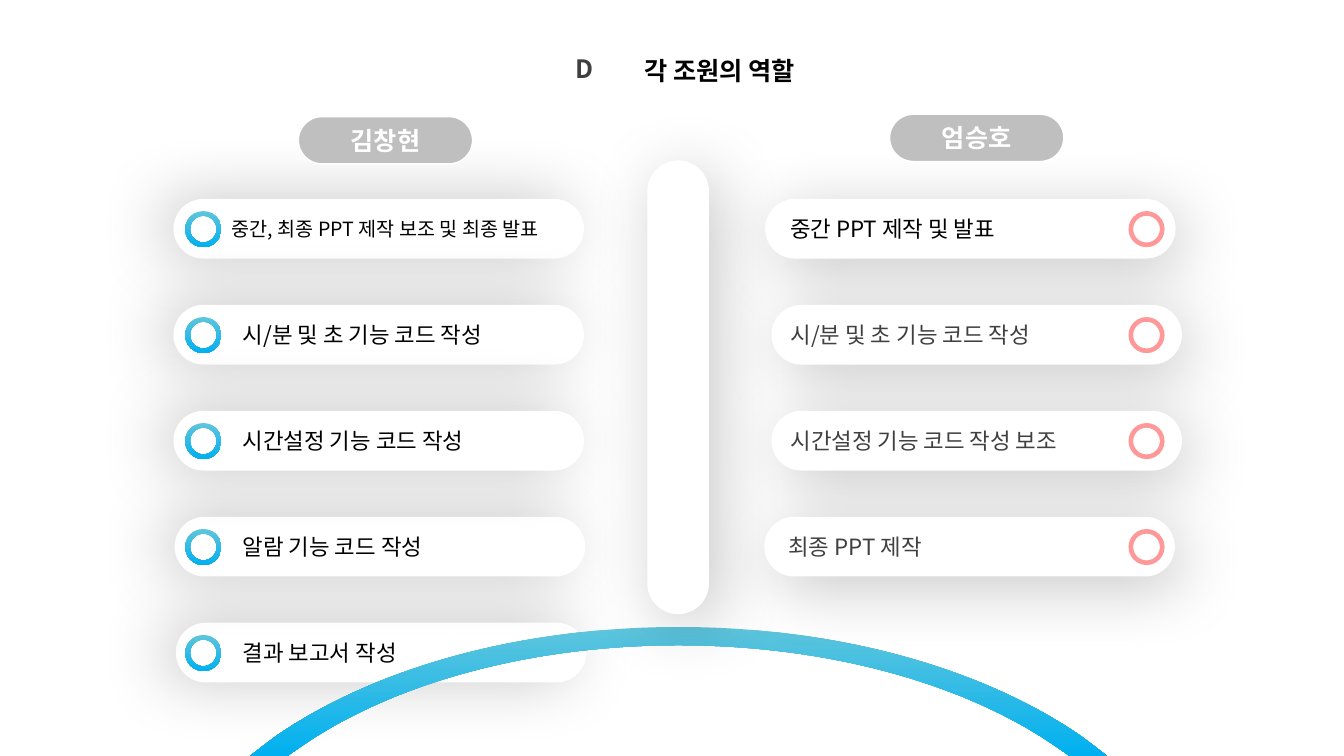
from lxml import etree
from pptx import Presentation
from pptx import util as u
from pptx.dml.color import RGBColor
from pptx.enum import shapes, text
from pptx.oxml.ns import qn

FONT = "Noto Sans CJK KR"
ROW_TOP, ROW_PITCH = 5.03, 2.67
CARD_WIDTH, CARD_HEIGHT = 10.31, 1.47
RING_SIZE, RING_OFFSET = 0.91, 0.29
LABEL_HEIGHT, LABEL_OFFSET = 0.94, 0.26
BLUE = ("5FC5DC", "00B0F0")
CORAL = ("FF9999",)
LEFT_SHADOW, RIGHT_SHADOW = 190, 50

LEFT_CARDS = [4.39, 4.39, 4.39, 4.42, 4.45]
RIGHT_CARDS = [19.3, 19.46, 19.46, 19.28]
# label left, label width, size, wording
LEFT_LABELS = [
    (5.59, 9.17, 14, "중간, 최종 PPT 제작 보조 및 최종 발표"),
    (5.87, 8.38, 16, "시/분 및 초 기능 코드 작성"),
    (5.87, 7.92, 16, "시간설정 기능 코드 작성"),
    (5.87, 7.54, 16, "알람 기능 코드 작성"),
    (5.87, 6.58, 16, "결과 보고서 작성"),
]
RIGHT_LABEL = (19.66, 7.65, 16, "중간 PPT 제작 및 발표")
RIGHT_TEXTS = ["", "시/분 및 초 기능 코드 작성", "시간설정 기능 코드 작성 보조", " 최종 PPT 제작"]


def colour(value):
    return RGBColor.from_string(value)


def row_top(row):
    return ROW_TOP + row * ROW_PITCH


def paint(shape, colours):
    """Fill with one colour, or with two from top to bottom."""
    if len(colours) == 1:
        shape.fill.solid()
        shape.fill.fore_color.rgb = colour(colours[0])
        return
    shape.fill.gradient()
    shape.fill.gradient_angle = 270
    for stop, value in zip(shape.fill.gradient_stops, colours):
        stop.color.rgb = colour(value)


def cast_shadow(shape, angle):
    effects = shape._element.spPr.find(qn("a:effectLst"))
    shadow = etree.SubElement(
        effects, qn("a:outerShdw"), blurRad=str(u.Pt(48)), dist=str(u.Pt(10)),
        dir=str(angle * 60000), algn="ctr", rotWithShape="0")
    tint = etree.SubElement(shadow, qn("a:srgbClr"), val="000000")
    etree.SubElement(tint, qn("a:alpha"), val="22000")


def write(shape, wording, size, tint, bold=False, align=text.PP_ALIGN.LEFT):
    shape.text_frame.word_wrap = True
    para = shape.text_frame.paragraphs[0]
    para.alignment = align
    span = para.add_run()
    span.text = wording
    span.font.name = FONT
    span.font.size = u.Pt(size)
    span.font.bold = bold
    span.font.color.rgb = colour(tint)
    return para


def add_pill(page, box, fill="FFFFFF", shadow=None):
    pill = page.shapes.add_shape(
        shapes.MSO_SHAPE.ROUNDED_RECTANGLE, *map(u.Cm, box))
    pill.adjustments[0] = 0.5
    paint(pill, (fill,))
    pill.line.color.rgb = colour("FFFFFF")
    pill.line.width = u.Pt(1)
    pill.shadow.inherit = False
    pill.text_frame.vertical_anchor = text.MSO_ANCHOR.MIDDLE
    if shadow is not None:
        cast_shadow(pill, shadow)
    return pill


def add_card(page, row, left, shadow):
    return add_pill(page, (left, row_top(row), CARD_WIDTH, CARD_HEIGHT),
                    shadow=shadow)


def add_label(page, row, label):
    left, width, size, wording = label
    box = (left, row_top(row) + LABEL_OFFSET, width, LABEL_HEIGHT)
    field = page.shapes.add_textbox(*map(u.Cm, box))
    field.text_frame.vertical_anchor = text.MSO_ANCHOR.MIDDLE
    write(field, wording, size, "000000")


def add_rings(page, left, count, colours):
    for row in range(count):
        box = (left, row_top(row) + RING_OFFSET, RING_SIZE, RING_SIZE)
        ring = page.shapes.add_shape(shapes.MSO_SHAPE.DONUT, *map(u.Cm, box))
        ring.adjustments[0] = 0.13
        paint(ring, colours)
        ring.line.fill.background()
        ring.shadow.inherit = False


def add_name(page, box, name):
    write(add_pill(page, box, "BFBFBF"), name, 18, "FFFFFF", True,
          text.PP_ALIGN.CENTER)


def add_heading(page, box, wording, tint, align):
    heading = page.shapes.add_textbox(*map(u.Cm, box))
    write(heading, wording, 18, tint, True, align).line_spacing = 1.5


def add_arch(page, centre):
    """Arch symmetric about centre; all points are offsets from it."""
    corners = [(-10.8, 19.05), (-10.2, 18.59), (0, 15.8), (10.2, 18.59),
               (10.8, 19.05), (9.86, 19.05), (9.6, 18.87), (0, 16.26),
               (-9.6, 18.87), (-9.86, 19.05)]
    # control points of the curve that ends at each of these corners
    curves = {
        2: [(-7.77, 16.89), (-4.11, 15.8)],
        3: [(4.11, 15.8), (7.77, 16.89)],
        7: [(7.34, 17.27), (3.86, 16.26)],
        8: [(-3.86, 16.26), (-7.34, 17.27)],
    }

    def placed(points):
        return [(u.Cm(centre + x), u.Cm(y)) for x, y in points]

    start, *rest = placed(corners)
    builder = page.shapes.build_freeform(*start, scale=1.0)
    builder.add_line_segments(rest, close=True)
    arch = builder.convert_to_shape()
    segments = list(arch._element.iter(qn("a:lnTo")))
    for corner, controls in curves.items():
        segment = segments[corner - 1]
        curve = etree.Element(qn("a:cubicBezTo"))
        for x, y in placed(controls):
            etree.SubElement(curve, qn("a:pt"),
                             x=str(x - arch.left), y=str(y - arch.top))
        curve.append(segment[0])
        segment.getparent().replace(segment, curve)
    paint(arch, BLUE)
    arch.line.fill.background()
    arch.shadow.inherit = False


def main():
    deck = Presentation()
    deck.slide_width, deck.slide_height = u.Cm(33.87), u.Cm(19.05)
    page = deck.slides.add_slide(deck.slide_layouts[6])

    for row in (4, 3, 0, 1, 2):  # stacking order of the overlapping shadows
        add_card(page, row, LEFT_CARDS[row], LEFT_SHADOW)
    add_arch(page, 17.1)
    add_pill(page, (16.33, 4.06, 1.52, 11.4), shadow=RIGHT_SHADOW)
    for row, (left, wording) in enumerate(zip(RIGHT_CARDS, RIGHT_TEXTS)):
        card = add_card(page, row, left, RIGHT_SHADOW)
        if wording:
            write(card, wording, 16, "404040")

    add_name(page, (7.52, 2.94, 4.39, 1.19), "김창현")
    add_name(page, (22.42, 2.88, 4.39, 1.19), "엄승호")
    add_heading(page, (14.25, 0.84, 1.02, 1.27), "D", "404040", text.PP_ALIGN.LEFT)
    add_heading(page, (15.72, 0.89, 4.83, 1.27), "각 조원의 역할", "000000",
                text.PP_ALIGN.CENTER)
    add_rings(page, 4.67, len(LEFT_CARDS), BLUE)
    add_rings(page, 28.44, len(RIGHT_CARDS), CORAL)
    for row, label in enumerate(LEFT_LABELS):
        add_label(page, row, label)
    add_label(page, 0, RIGHT_LABEL)
    deck.save("out.pptx")


if __name__ == "__main__":
    main()
